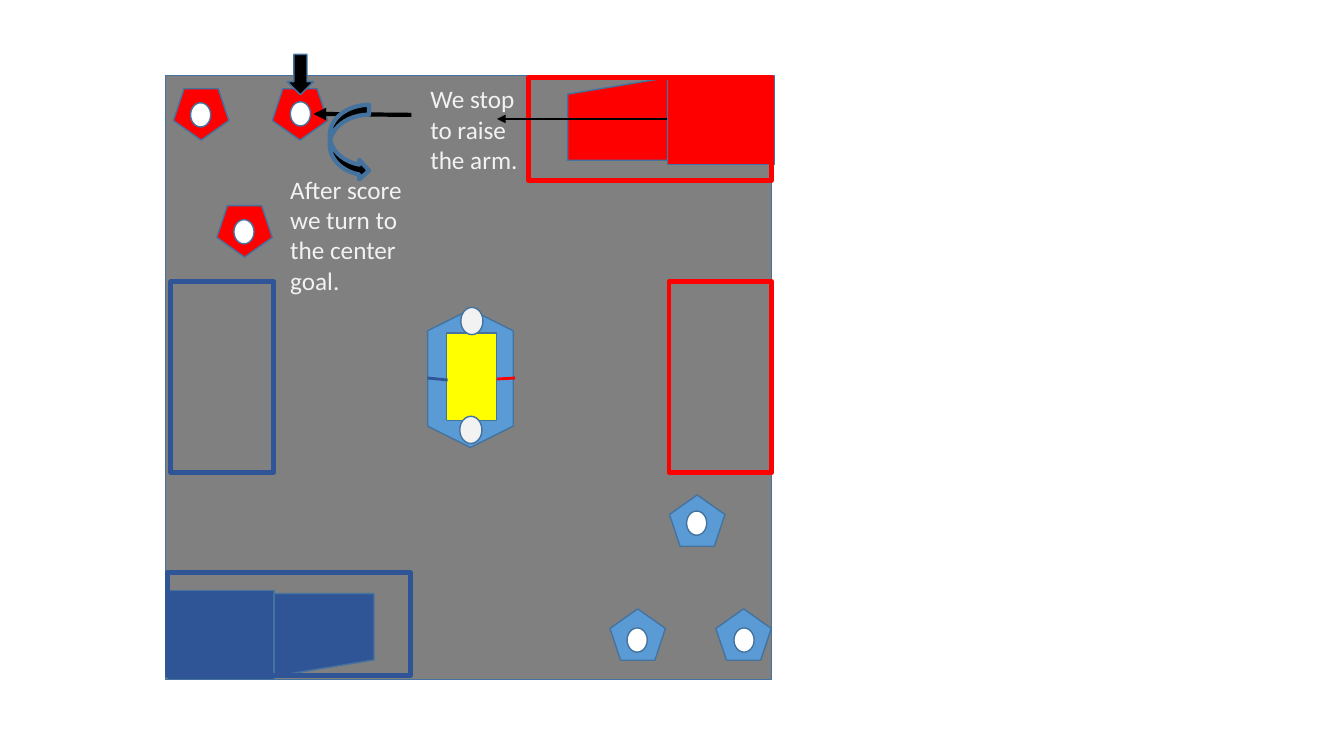
"""Robot game field with goals, ramps and the autonomous route."""
import pptx
import pptx.util
import pptx.dml.color
import pptx.enum.shapes
import pptx.enum.text
import lxml.etree

COLORS = {
    "field": "808080", "outline": "43739E", "red": "FF0000", "blue": "2F5597",
    "light blue": "5B9BD5", "yellow": "FFFF00", "white": "FFFFFF",
    "pale": "F2F2F2", "black": "000000",
}
FORMS = pptx.enum.shapes.MSO_SHAPE

deck = pptx.Presentation()
deck.slide_width = pptx.util.Inches(13.33)
deck.slide_height = pptx.util.Inches(7.5)
CELL = deck.slide_height / 75
slide = deck.slides.add_slide(deck.slide_layouts[6])


def place(form, column, row, columns, rows, fill, turn=0, outline="outline", weight=1):
    """Put a preset form on the grid."""
    piece = slide.shapes.add_shape(form, *(round(n * CELL) for n in (column, row, columns, rows)))
    piece.shadow.inherit = False
    piece.rotation = turn
    if fill:
        piece.fill.solid()
        piece.fill.fore_color.rgb = pptx.dml.color.RGBColor.from_string(COLORS[fill])
    else:
        piece.fill.background()
    piece.line.color.rgb = pptx.dml.color.RGBColor.from_string(COLORS[outline])
    piece.line.width = pptx.util.Pt(weight)


def draw_line(start, end, color, weight, arrow=False):
    """Join two grid points, with an optional arrowhead at the end."""
    route = slide.shapes.add_connector(
        pptx.enum.shapes.MSO_CONNECTOR.STRAIGHT, *(round(n * CELL) for n in start + end))
    route.line.color.rgb = pptx.dml.color.RGBColor.from_string(COLORS[color])
    route.line.width = pptx.util.Pt(weight)
    properties = route._element.spPr
    namespace = "{http://schemas.openxmlformats.org/drawingml/2006/main}"
    if arrow:
        lxml.etree.SubElement(properties.find(namespace + "ln"), namespace + "tailEnd", type="triangle")
    lxml.etree.SubElement(properties, namespace + "effectLst")


place(FORMS.RECTANGLE, 16.4, 7.5, 60.1, 59.9, "field")

for color, turn, platform, ramp in [
    ("red", 0, (66.2, 7.5), (56.3, 7.7)),
    ("blue", 180, (16.6, 58.6), (27.2, 58.9)),
]:
    place(FORMS.RECTANGLE, *platform, 10.6, 8.8, color)
    place(FORMS.FLOWCHART_MANUAL_INPUT, *ramp, 9.9, 8.2, color, turn)

for color, ramp_zone, side_zone in [
    ("red", (52.4, 7.7), (62, 32.3)),
    ("blue", (16.6, 56.8), (12.6, 32.3)),
]:
    place(FORMS.RECTANGLE, *ramp_zone, 24.1, 10.2, None, outline=color, weight=3.5)
    place(FORMS.RECTANGLE, *side_zone, 18.9, 10.2, None, 90, color, 3.5)

for color, turn, goal, ball in [
    ("light blue", 0, (66.4, 49.1), (68.1, 50.7)),
    ("light blue", 0, (71, 60.4), (72.8, 62.3)),
    ("light blue", 0, (60.5, 60.4), (62.2, 62.3)),
    ("red", 180, (17.2, 8.8), (18.9, 10.2)),
    ("red", 180, (27, 8.8), (28.8, 10.1)),
    ("red", 180, (21.5, 20.4), (23.2, 21.8)),
]:
    place(FORMS.REGULAR_PENTAGON, *goal, 5.5, 5.1, color, turn)
    place(FORMS.OVAL, *ball, 2, 2.4, "white")

place(FORMS.HEXAGON, 39.8, 33.3, 13.7, 8.5, "light blue", 90)
place(FORMS.RECTANGLE, 42.4, 34.9, 8.7, 5, "yellow", 90)
draw_line((49.3, 37.6), (51.1, 37.5), "red", 2)
draw_line((42.4, 37.5), (44.4, 37.7), "blue", 2)
draw_line((66.2, 11.8), (49.3, 11.8), "black", 2, arrow=True)
for center_ball in [(45.6, 41.3), (45.7, 30.5)]:
    place(FORMS.OVAL, *center_ball, 2.2, 2.7, "pale")

place(FORMS.DOWN_ARROW, 28.5, 5.4, 2.6, 4, "black")
draw_line((40.8, 11.4), (31.1, 11.3), "black", 3, arrow=True)
place(FORMS.CURVED_RIGHT_ARROW, 32.7, 10.4, 3.9, 7.5, "black", weight=3)

for step, area in [
    ("We stop to raise the arm.", (41.7, 7.8, 11.7, 10.1)),
    ("After score we turn to the center goal.", (27.8, 16.8, 13.9, 13.2)),
]:
    note = slide.shapes.add_textbox(*(round(n * CELL) for n in area)).text_frame
    note.word_wrap = True
    note.auto_size = pptx.enum.text.MSO_AUTO_SIZE.SHAPE_TO_FIT_TEXT
    note.text = step
    font = note.paragraphs[0].font
    font.name = "Calibri"
    font.size = pptx.util.Pt(18)
    font.color.rgb = pptx.dml.color.RGBColor.from_string(COLORS["pale"])

deck.save("out.pptx")
